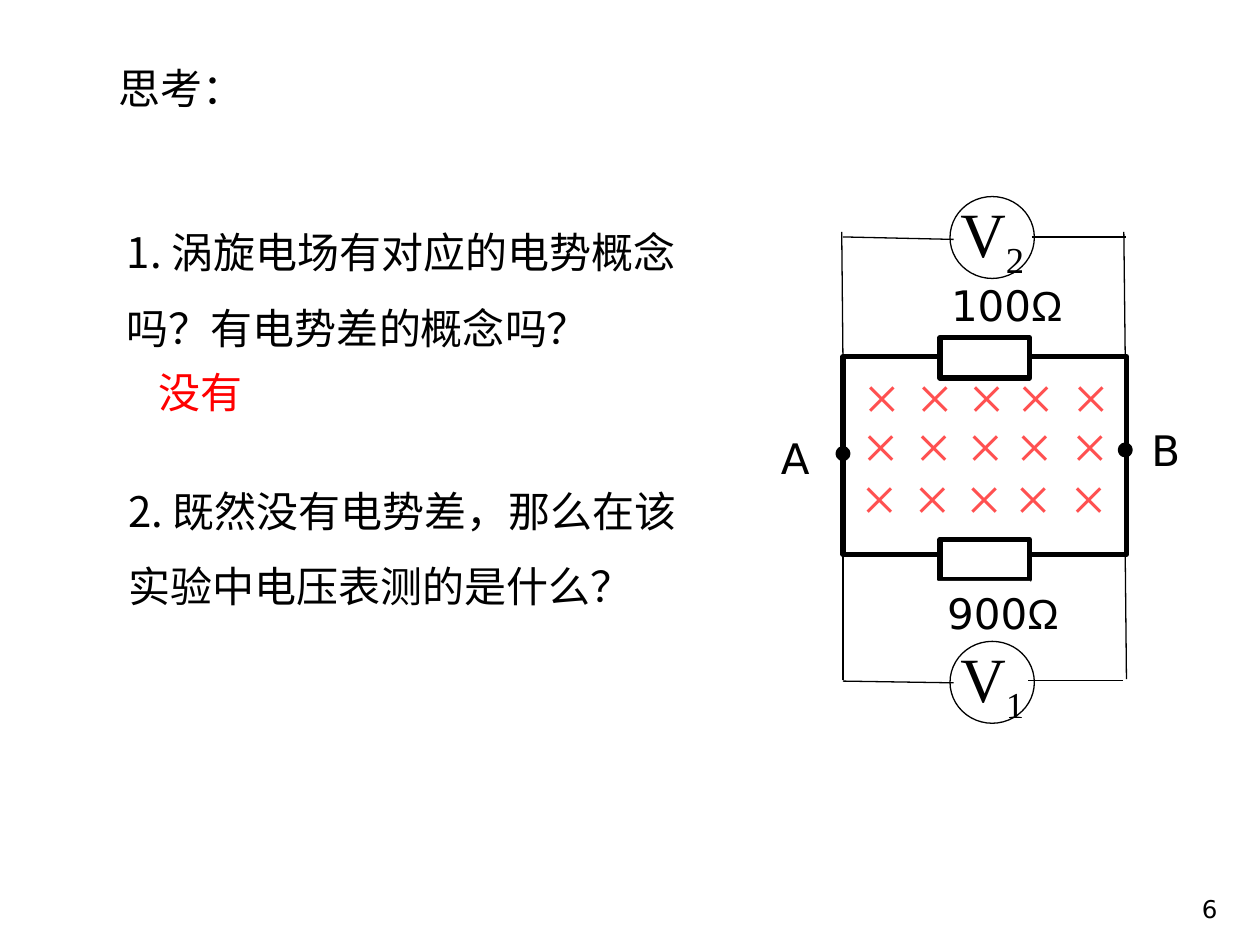
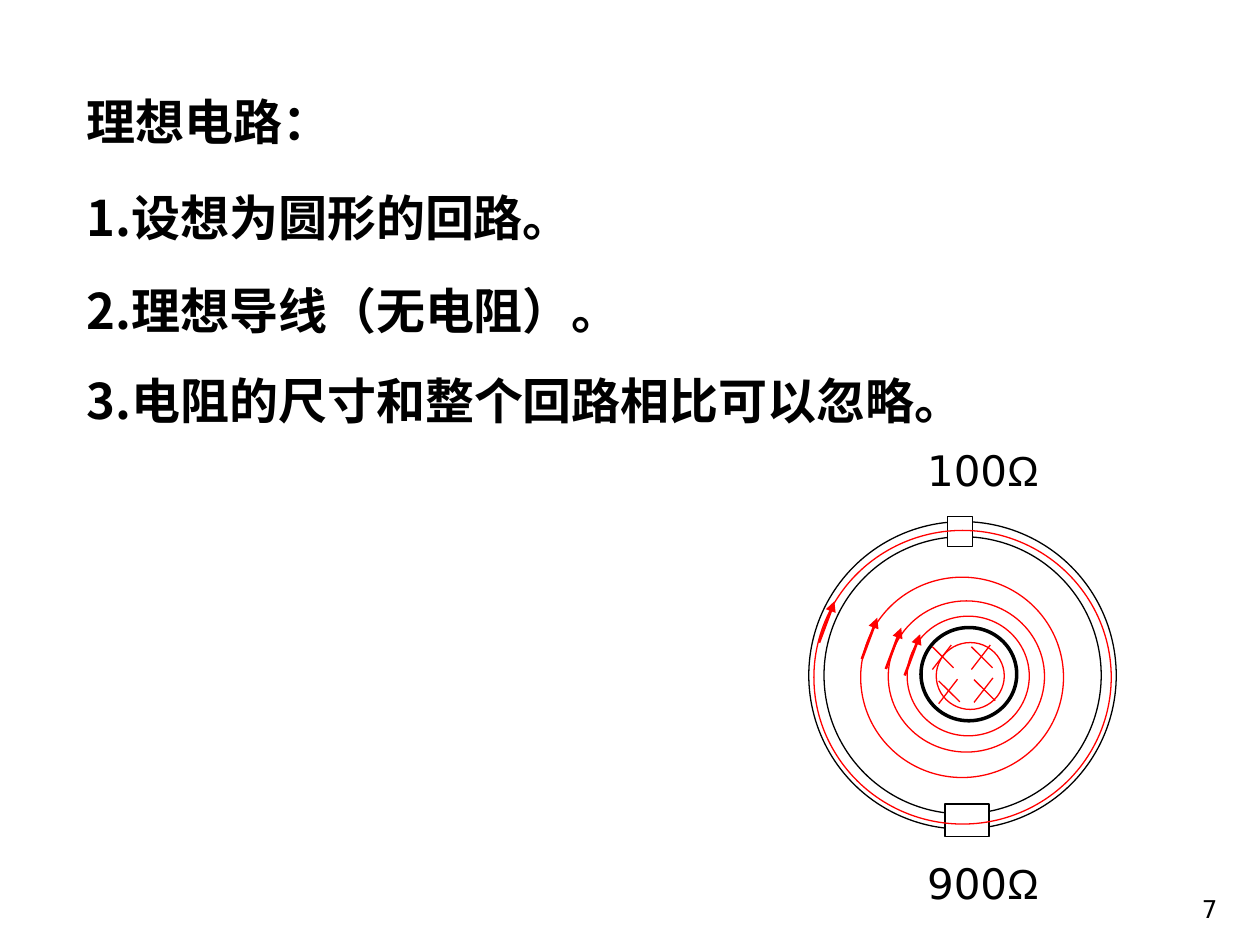
from dataclasses import dataclass, replace
from itertools import product
from typing import NamedTuple, Optional

from lxml.etree import SubElement
from pptx import Presentation
from pptx.dml.color import RGBColor
from pptx.enum.shapes import MSO_CONNECTOR, MSO_SHAPE
from pptx.enum.text import MSO_ANCHOR, MSO_AUTO_SIZE, PP_ALIGN
from pptx.oxml.ns import qn
from pptx.shapes.autoshape import Shape
from pptx.slide import Slide
from pptx.util import Pt

BLACK = RGBColor(0x00, 0x00, 0x00)
WHITE = RGBColor(0xFF, 0xFF, 0xFF)
RED = RGBColor(0xFF, 0x00, 0x00)
FIELD_RED = RGBColor(0xFF, 0x50, 0x50)

CHINESE = "Noto Sans CJK SC"
SANS = "DejaVu Sans"
SERIF = "Times New Roman"
OHM_FONT = "Arial"

THIN, ARROW, THICK = 0.75, 1.5, 3


class Box(NamedTuple):
    left: float
    top: float
    width: float
    height: float


class Line(NamedTuple):
    x1: float
    y1: float
    x2: float
    y2: float


@dataclass(frozen=True)
class Style:
    font: str
    size: float
    color: RGBColor = BLACK
    bold: bool = False
    baseline: int = 0


@dataclass(frozen=True)
class Outline:
    color: RGBColor = BLACK
    width: float = THIN


@dataclass(frozen=True)
class Voltmeter:
    subscript: str
    circle: Box
    wires: tuple[Line, ...]


BODY = Style(CHINESE, 24)
HEADING = Style(CHINESE, 28, bold=True)
LABEL = Style(SANS, 24)
METER = Style(SERIF, 36)
FIELD_CROSS = Style(SERIF, 36, FIELD_RED)
PAGE_NUMBER = Style(SANS, 14)

Runs = list[tuple[str, Style]]


def write(shape: Shape, runs: Runs, wrap: bool = False,
          anchor: MSO_ANCHOR = MSO_ANCHOR.TOP, **paragraph_format) -> None:
    """Fill a shape with one paragraph of styled runs."""
    frame = shape.text_frame
    frame.word_wrap = wrap
    frame.vertical_anchor = anchor
    paragraph = frame.paragraphs[0]
    for name, value in {"alignment": PP_ALIGN.LEFT, **paragraph_format}.items():
        setattr(paragraph, name, value)
    for text, style in runs:
        run = paragraph.add_run()
        run.text = text
        font_format = {"name": style.font, "size": Pt(style.size), "bold": style.bold}
        for name, value in font_format.items():
            setattr(run.font, name, value)
        run.font.color.rgb = style.color
        properties = run.font._element
        SubElement(properties, qn("a:ea")).set("typeface", style.font)
        if style.baseline:
            properties.set("baseline", str(style.baseline * 1000))


def add_text(slide: Slide, box: Box, text: str, style: Style,
             grow: bool = True, **options) -> None:
    shape = slide.shapes.add_textbox(*map(Pt, box))
    write(shape, [(text, style)], **options)
    if grow:
        shape.text_frame.auto_size = MSO_AUTO_SIZE.SHAPE_TO_FIT_TEXT


def add_figure(slide: Slide, kind: MSO_SHAPE, box: Box, fill: Optional[RGBColor] = None,
               outline: Optional[Outline] = Outline()) -> Shape:
    shape = slide.shapes.add_shape(kind, *map(Pt, box))
    shape.shadow.inherit = False
    if fill is None:
        shape.fill.background()
    else:
        shape.fill.solid()
        shape.fill.fore_color.rgb = fill
    if outline is None:
        shape.line.fill.background()
    else:
        shape.line.color.rgb = outline.color
        shape.line.width = Pt(outline.width)
    return shape


def add_line(slide: Slide, line: Line, outline: Outline = Outline(),
             arrow: bool = False) -> None:
    connector = slide.shapes.add_connector(MSO_CONNECTOR.STRAIGHT, *map(Pt, line))
    connector.line.color.rgb = outline.color
    connector.line.width = Pt(outline.width)
    if arrow:
        SubElement(connector.line._get_or_add_ln(), qn("a:tailEnd")).set("type", "triangle")
    SubElement(connector._element.spPr, qn("a:effectLst"))


def add_resistance(slide: Slide, left: float, top: float, ohms: int) -> None:
    shape = add_figure(slide, MSO_SHAPE.RECTANGLE, Box(left, top, 54.7, 34.6), WHITE, None)
    write(shape, [(str(ohms), LABEL), ("Ω", replace(LABEL, font=OHM_FONT))])


def add_voltmeter(slide: Slide, meter: Voltmeter) -> None:
    for wire in meter.wires:
        add_line(slide, wire)
    circle = add_figure(slide, MSO_SHAPE.OVAL, meter.circle)
    write(circle, [("V", METER), (meter.subscript, replace(METER, baseline=-25))],
          anchor=MSO_ANCHOR.MIDDLE, alignment=PP_ALIGN.CENTER)


def add_page_number(slide: Slide, number: int) -> None:
    add_text(slide, Box(553, 495.4, 149.8, 36), str(number), PAGE_NUMBER, grow=False,
             wrap=True, anchor=MSO_ANCHOR.BOTTOM, alignment=PP_ALIGN.RIGHT)


def build_question_slide(slide: Slide) -> None:
    # Loop and its two resistors
    thick = Outline(width=THICK)
    add_figure(slide, MSO_SHAPE.RECTANGLE, Box(481.7, 203.8, 162, 113), WHITE, thick)
    for top in (308.2, 193):
        add_figure(slide, MSO_SHAPE.RECTANGLE, Box(537.1, top, 51.1, 23), WHITE, thick)

    # Magnetic field into the page, each row a little further left
    column_lefts = (486.7, 517, 546.5, 574.6, 606.2)
    row_tops = (200.7, 229, 258.2)
    for (row, top), left in product(enumerate(row_tops), column_lefts):
        add_text(slide, Box(left - 0.7 * row, top, 30.2, 50.4), "×", FIELD_CROSS, wrap=True)

    # Measuring points and resistor values
    for left, top in ((478.8, 256.3), (640.1, 254.2)):
        add_figure(slide, MSO_SHAPE.OVAL, Box(left, top, 5.8, 5.8), BLACK, Outline(width=2.75))
    for name, left, top in (("A", 439.2, 243.4), ("B", 650.9, 239)):
        add_text(slide, Box(left, top, 31, 36), name, LABEL)
    add_resistance(slide, 534.2, 331.9, 900)
    add_resistance(slide, 536.4, 156.2, 100)

    # Voltmeters with their wires
    voltmeters = (
        Voltmeter("1", Box(542.9, 366.5, 48.2, 46.8), (
            Line(481.7, 316.8, 481.7, 388.8), Line(643, 316.8, 643.7, 388.1),
            Line(481.7, 389.2, 545, 390.2), Line(587.5, 388.8, 641.5, 388.8))),
        Voltmeter("2", Box(542.9, 112.3, 48.2, 46.8), (
            Line(481, 132.5, 481.7, 205.2), Line(642.2, 132.5, 643, 203.8),
            Line(481.7, 135.4, 545, 136.8), Line(589.7, 135.4, 643.7, 135.4))),
    )
    for meter in voltmeters:
        add_voltmeter(slide, meter)

    # Questions and answer
    add_text(slide, Box(60.5, 32.4, 87.1, 36), "思考：", BODY)
    add_text(slide, Box(65.5, 111.6, 338.4, 88.6),
             "1. 涡旋电场有对应的电势概念吗？有电势差的概念吗？", BODY, wrap=True, line_spacing=1.5)
    add_text(slide, Box(66.2, 259.2, 332.6, 87.8),
             "2. 既然没有电势差，那么在该实验中电压表测的是什么？", BODY, wrap=True, line_spacing=1.5)
    add_text(slide, Box(83.5, 205.9, 63.4, 36), "没有", replace(BODY, color=RED))


def build_ideal_circuit_slide(slide: Slide) -> None:
    # Ring conductor with two small resistors
    for ring in (Box(462.2, 298.1, 175.7, 175.7), Box(470.9, 306.7, 158.4, 158.4)):
        add_figure(slide, MSO_SHAPE.OVAL, ring)
    for resistor in (Box(541.4, 295.2, 14.4, 17.3), Box(540, 459.4, 25.2, 18.7)):
        add_figure(slide, MSO_SHAPE.RECTANGLE, resistor, WHITE)

    # Assumptions
    assumptions = (
        ("理想电路：", 49, 156.2),
        ("1.设想为圆形的回路。", 103.7, 300.2),
        ("2.理想导线（无电阻）。", 157, 329),
        ("3.电阻的尺寸和整个回路相比可以忽略。", 208.1, 545.8),
    )
    for text, top, width in assumptions:
        add_text(slide, Box(42.5, top, width, 41), text, HEADING)
    for ohms, top in ((100, 250.6), (900, 486.7)):
        add_resistance(slide, 522.7, top, ohms)

    # Solenoid with the field into the page
    add_figure(slide, MSO_SHAPE.OVAL, Box(526.3, 358.6, 54.7, 53.3), outline=Outline(width=2))
    red_thin = Outline(RED)
    for x, y in ((532.8, 368.6), (555.1, 368.6), (536.4, 388.1), (556.6, 387.4)):
        add_line(slide, Line(x + 10.8, y, x, y + 14), red_thin)
        add_line(slide, Line(x, y + 1, x + 12.1, y + 13), red_thin)

    # Field lines of the vortex electric field
    field_lines = (
        Box(465.1, 303.1, 169.9, 167.8), Box(491.8, 329.8, 115.9, 114.5),
        Box(507.6, 343.4, 89.3, 86.4), Box(518.4, 352.1, 69.8, 68.4),
        Box(535, 367.2, 38.9, 38.2),
    )
    for field_line in field_lines:
        add_figure(slide, MSO_SHAPE.OVAL, field_line, outline=red_thin)
    for x, y in ((468, 367.2), (492.5, 376.6), (506.2, 382.3), (517, 386)):
        add_line(slide, Line(x, y, x + 8.8, y - 23.6), Outline(RED, ARROW), arrow=True)


def main() -> None:
    presentation = Presentation()
    presentation.slide_width, presentation.slide_height = Pt(720), Pt(540)
    blank_layout = presentation.slide_layouts[6]
    builders = (build_question_slide, build_ideal_circuit_slide)
    for number, build in enumerate(builders, start=6):
        slide = presentation.slides.add_slide(blank_layout)
        build(slide)
        add_page_number(slide, number)
    presentation.save("out.pptx")


if __name__ == "__main__":
    main()
